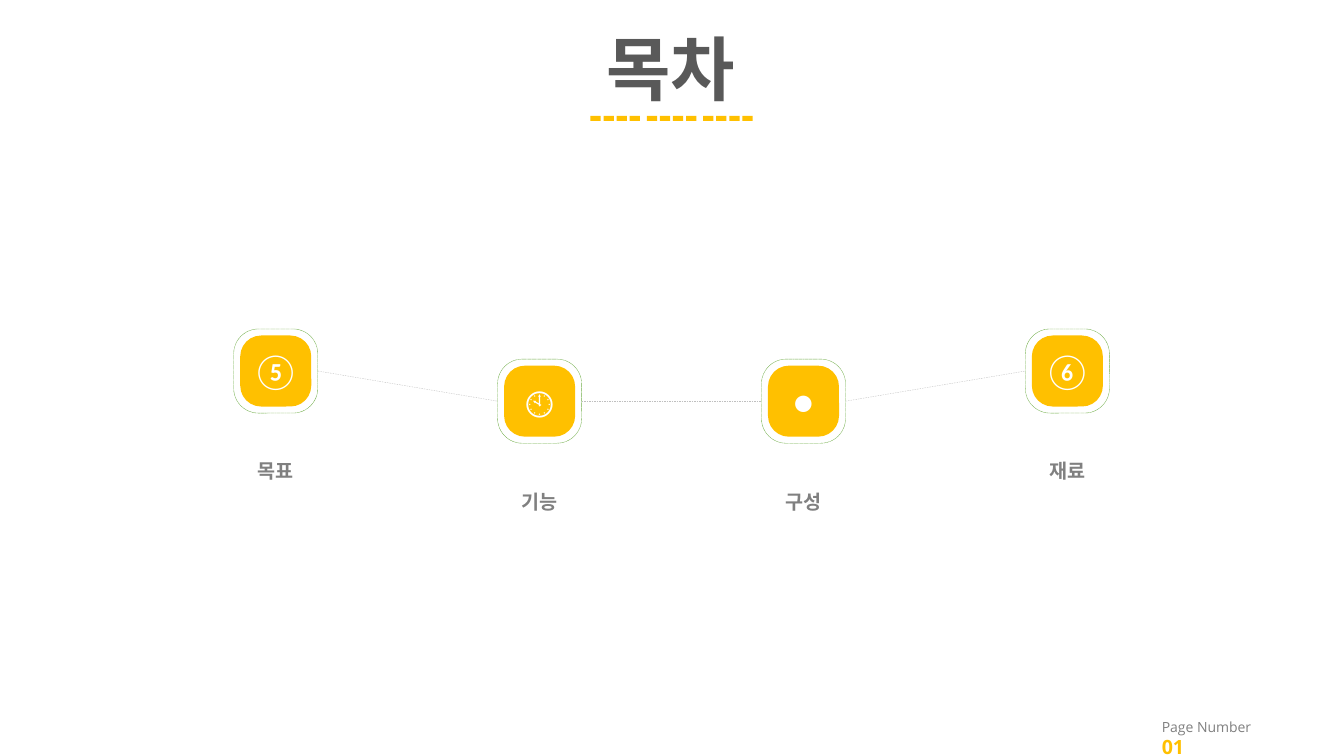
"""Build a contents slide with four linked icon tiles and a dashed title rule."""
import pptx
import pptx.dml.color
import pptx.enum.dml
import pptx.enum.shapes
import pptx.enum.text
import pptx.oxml.ns
import pptx.util
from lxml import etree

Cm = pptx.util.Cm
Pt = pptx.util.Pt
RGB = pptx.dml.color.RGBColor.from_string
DASH = pptx.enum.dml.MSO_LINE
SHAPE = pptx.enum.shapes.MSO_SHAPE
ALIGN = pptx.enum.text.PP_ALIGN
MIDDLE = pptx.enum.text.MSO_ANCHOR.MIDDLE
GROW = pptx.enum.text.MSO_AUTO_SIZE.SHAPE_TO_FIT_TEXT

THEME = {
    "accent": RGB("FFC000"),
    "ring": RGB("70AD47"),
    "link": RGB("BFBFBF"),
    "title": {"name": "Karla", "size": Pt(50), "bold": True, "color": RGB("595959")},
    "label": {"name": "Open Sans", "size": Pt(14), "bold": True, "color": RGB("808080")},
    "icon": {"name": "Lato", "size": Pt(24), "color": RGB("FFFFFF")},
    "page": {"name": "Open Sans", "size": Pt(10), "color": RGB("808080")},
    "number": {"name": "Open Sans", "size": Pt(14), "bold": True, "color": RGB("FFC000")},
}


def add_run(p, text, style):
    r = p.add_run()
    r.text = text
    for key, value in THEME[style].items():
        if key == "color":
            r.font.color.rgb = value
        else:
            setattr(r.font, key, value)


def add_box(shapes, kind, x, y, w, h, fill=None):
    sp = shapes.add_shape(kind, Cm(x), Cm(y), Cm(w), Cm(h))
    sp.shadow.inherit = False
    if kind == SHAPE.ROUNDED_RECTANGLE:
        sp.adjustments[0] = 0.294
    if fill is None:
        sp.fill.background()
    else:
        sp.fill.solid()
        sp.fill.fore_color.rgb = fill
        sp.line.fill.background()
    return sp


prs = pptx.Presentation()
prs.slide_width, prs.slide_height = Cm(33.87), Cm(19.05)
s = prs.slides.add_slide(prs.slide_layouts[6])

tb = s.shapes.add_textbox(Cm(29.03), Cm(17.98), Cm(2.82), Cm(0.86))
tf = tb.text_frame
tf.word_wrap, tf.auto_size = False, GROW
p = tf.paragraphs[0]
add_run(p, "Page Number", "page")
p.add_line_break()
add_run(p, "01", "number")

HIGH, LOW = 9.35, 10.11
TILE, RING, LABEL = 1.79, 2.12, 6.3
sections = [("⑤", "목표", HIGH), ("🕙", "기능", LOW), ("●", "구성", LOW), ("⑥", "재료", HIGH)]
rings = []
for i, (icon, label, cy) in enumerate(sections):
    cx = 6.95 + 6.65 * i
    tile = add_box(s.shapes, SHAPE.ROUNDED_RECTANGLE, cx - TILE / 2, cy - TILE / 2,
                   TILE, TILE, THEME["accent"])
    tile.text_frame.vertical_anchor = MIDDLE
    p = tile.text_frame.paragraphs[0]
    p.alignment = ALIGN.CENTER
    add_run(p, icon, "icon")

    tb = s.shapes.add_textbox(Cm(cx - LABEL / 2), Cm(cy + 2.1), Cm(LABEL), Cm(0.86))
    tf = tb.text_frame
    tf.word_wrap, tf.auto_size = True, GROW
    p = tf.paragraphs[0]
    p.alignment = ALIGN.CENTER
    add_run(p, label, "label")

    ring = add_box(s.shapes, SHAPE.ROUNDED_RECTANGLE, cx - RING / 2, cy - RING / 2, RING, RING)
    ring.line.color.rgb = THEME["ring"]
    ring.line.width = Pt(0.25)
    ring.line.dash_style = DASH.SQUARE_DOT
    rings.append(ring)

for left, right in zip(rings, rings[1:]):
    link = s.shapes.add_connector(pptx.enum.shapes.MSO_CONNECTOR.STRAIGHT, 0, 0, 0, 0)
    link.begin_connect(left, 3)
    link.end_connect(right, 1)
    link.line.color.rgb = THEME["link"]
    link.line.width = Pt(0.25)
    link.line.dash_style = DASH.DASH
    etree.SubElement(link._element.spPr, pptx.oxml.ns.qn("a:effectLst"))

tb = s.shapes.add_textbox(Cm(14.88), Cm(0.53), Cm(4.06), Cm(2.39))
tf = tb.text_frame
tf.word_wrap, tf.auto_size = False, GROW
p = tf.paragraphs[0]
p.alignment = ALIGN.CENTER
add_run(p, "목차", "title")

for g in range(3):
    group = s.shapes.add_group_shape()
    for d in range(4):
        add_box(group.shapes, SHAPE.RECTANGLE, 14.88 + 1.42 * g + 0.33 * d, 2.92,
                0.26, 0.13, THEME["accent"])

prs.save("out.pptx")
